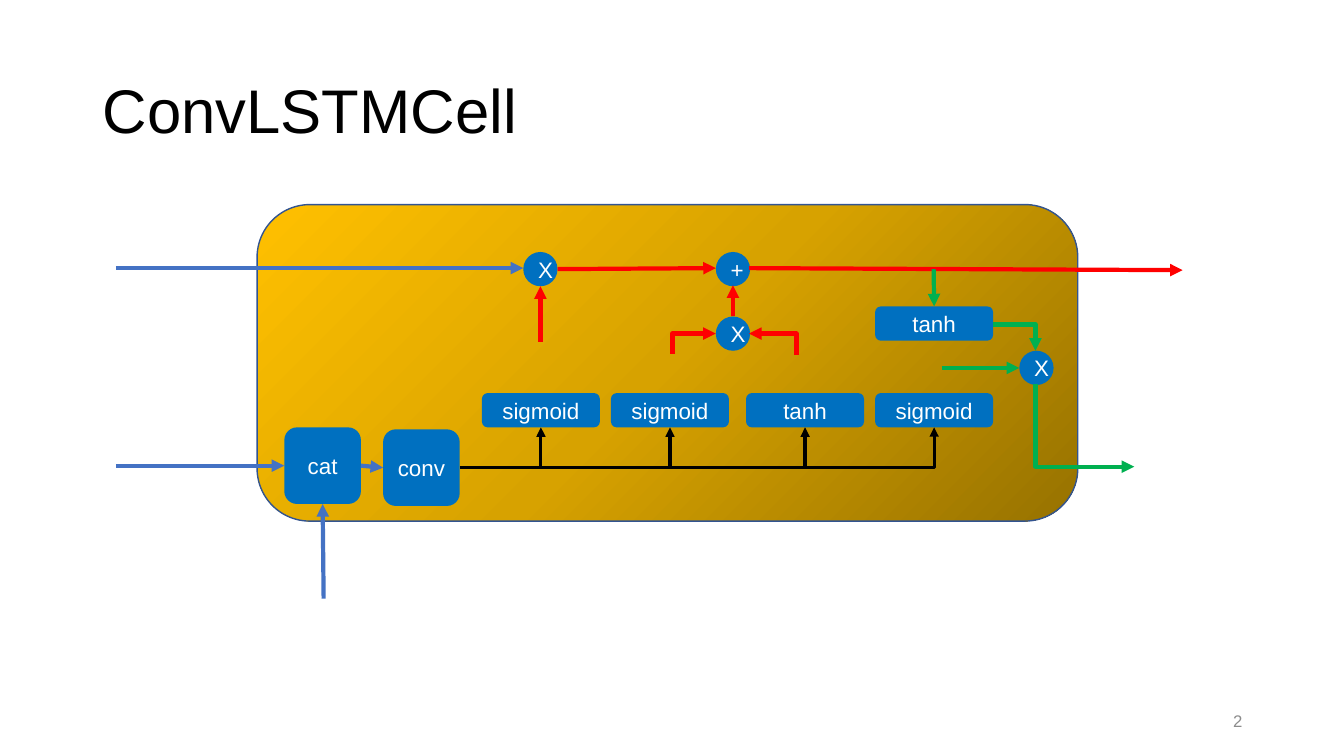
from lxml import etree
from pptx import Presentation
from pptx.dml.color import RGBColor
from pptx.enum.shapes import MSO_CONNECTOR, MSO_SHAPE
from pptx.enum.text import MSO_ANCHOR, PP_ALIGN
from pptx.oxml.ns import qn
from pptx.util import Inches, Pt

ROUND, OVAL = MSO_SHAPE.ROUNDED_RECTANGLE, MSO_SHAPE.OVAL
STRAIGHT, ELBOW = MSO_CONNECTOR.STRAIGHT, MSO_CONNECTOR.ELBOW
MIDDLE = MSO_ANCHOR.MIDDLE
LEFT, CENTER, RIGHT = PP_ALIGN.LEFT, PP_ALIGN.CENTER, PP_ALIGN.RIGHT
TOP_SIDE, LEFT_SIDE, BOTTOM_SIDE, RIGHT_SIDE = range(4)

COLORS = {
    "node": "0070C0", "white": "FFFFFF", "black": "000000", "gray": "8C8C8C",
    "edge": "325491", "input": "4472C4", "state": "FF0000", "output": "00B050",
    "gold dark": "977200", "gold mid": "D7A200", "gold": "FFC000",
}


class Deck:
    font = "Arial"

    def __init__(self):
        self.prs = Presentation()
        self.prs.slide_width, self.prs.slide_height = Inches(13.33), Inches(7.5)
        self.slide = self.prs.slides.add_slide(self.prs.slide_layouts[5])

    def color(self, name):
        return RGBColor.from_string(COLORS[name])

    def set_text(self, s, text, size, color, align):
        tf = s.text_frame
        tf.text = text
        tf.word_wrap = True
        tf.vertical_anchor = MIDDLE
        p = tf.paragraphs[0]
        p.alignment = align
        font = p.runs[0].font
        font.name, font.size = self.font, Pt(size)
        font.color.rgb = self.color(color)
        return p

    def title(self, text, *box):
        s = self.slide.shapes.title
        s.left, s.top, s.width, s.height = map(Inches, box)
        self.set_text(s, text, 44, "black", LEFT).line_spacing = 0.9

    def label(self, text, *box):
        s = self.slide.shapes.add_textbox(*map(Inches, box))
        self.set_text(s, text, 12, "gray", RIGHT)

    def panel(self, *box):
        s = self.slide.shapes.add_shape(ROUND, *map(Inches, box))
        s.shadow.inherit = False
        s.line.color.rgb = self.color("edge")
        s.line.width = Pt(1)
        # Radial gradient centred on the bottom right corner
        grad = etree.Element(qn("a:gradFill"), rotWithShape="1")
        stops = etree.SubElement(grad, qn("a:gsLst"))
        for pos, name in ((0, "gold dark"), (50, "gold mid"), (100, "gold")):
            gs = etree.SubElement(stops, qn("a:gs"), pos=str(pos * 1000))
            etree.SubElement(gs, qn("a:srgbClr"), val=COLORS[name])
        circle = etree.SubElement(grad, qn("a:path"), path="circle")
        etree.SubElement(circle, qn("a:fillToRect"), l="100000", t="100000")
        s._element.spPr.find(qn("a:prstGeom")).addnext(grad)

    def node(self, kind, text, *box):
        s = self.slide.shapes.add_shape(kind, *map(Inches, box))
        s.shadow.inherit = False
        s.fill.solid()
        s.fill.fore_color.rgb = self.color("node")
        s.line.fill.background()
        self.set_text(s, text, 16, "white", CENTER)
        return s

    def arrow(self, color, start, end, begin=None, finish=None, width=3, kind=STRAIGHT):
        c = self.slide.shapes.add_connector(kind, *map(Inches, start + end))
        c.line.color.rgb = self.color(color)
        c.line.width = Pt(width)
        ln = c._element.spPr.find(qn("a:ln"))
        etree.SubElement(ln, qn("a:tailEnd"), type="triangle")
        etree.SubElement(c._element.spPr, qn("a:effectLst"))
        if begin:
            c.begin_connect(*begin)
        if finish:
            c.end_connect(*finish)
        return c

    def bent(self, color, start, end, across_first, width=3):
        c = self.arrow(color, start, end, width=width, kind=ELBOW)
        geom = c._element.spPr.find(qn("a:prstGeom"))
        if across_first:
            geom.set("prst", "bentConnector2")
        else:
            guides = geom.find(qn("a:avLst"))
            if guides is None:
                guides = etree.SubElement(geom, qn("a:avLst"))
            etree.SubElement(guides, qn("a:gd"), name="adj1", fmla="val 0")


def main():
    d = Deck()
    d.title("ConvLSTMCell", 0.92, 0.4, 11.5, 1.45)
    d.panel(2.55, 2.03, 8.14, 3.14)

    # Concatenation, convolution and gates
    cat = d.node(ROUND, "cat", 2.82, 4.24, 0.76, 0.76)
    conv = d.node(ROUND, "conv", 3.8, 4.26, 0.76, 0.76)
    gate_w, gate_h, gate_y, bus_y = 1.17, 0.34, 3.9, 4.64
    gates = [(4.78, "sigmoid"), (6.06, "sigmoid"), (7.4, "tanh"), (8.68, "sigmoid")]
    for x, text in gates:
        gate = d.node(ROUND, text, x, gate_y, gate_w, gate_h)
        mid = x + gate_w / 2
        if x < gates[-1][0]:
            d.arrow("black", (mid, bus_y), (mid, gate_y + gate_h),
                    finish=(gate, BOTTOM_SIDE), width=2.25)
        else:
            d.bent("black", (4.56, bus_y), (mid, gate_y + gate_h), True, 2.25)
    cell_tanh = d.node(ROUND, "tanh", 8.68, 3.04, gate_w, gate_h)

    # Pointwise operators
    for text, x, y in (("X", 5.19, 2.5), ("+", 7.1, 2.5), ("X", 7.1, 3.14), ("X", 10.11, 3.48)):
        d.node(OVAL, text, x, y, 0.34, 0.34)

    # Inputs
    d.arrow("input", (1.15, 4.62), (2.82, 4.62), finish=(cat, LEFT_SIDE))
    d.arrow("input", (3.21, 5.94), (3.21, 5), finish=(cat, BOTTOM_SIDE))
    d.arrow("input", (3.58, 4.62), (3.8, 4.64), (cat, RIGHT_SIDE), (conv, LEFT_SIDE))
    d.arrow("input", (1.15, 2.66), (5.19, 2.66))

    # Cell state
    for start, end in (((5.36, 3.39), (5.36, 2.84)), ((7.27, 3.14), (7.27, 2.83)),
                       ((5.53, 2.67), (7.1, 2.66)), ((7.43, 2.66), (11.73, 2.68))):
        d.arrow("state", start, end)
    d.bent("state", (6.67, 3.51), (7.1, 3.31), False)
    d.bent("state", (7.9, 3.52), (7.43, 3.31), False)

    # Hidden state output
    d.arrow("output", (9.26, 2.67), (9.26, 3.04), finish=(cell_tanh, TOP_SIDE))
    d.arrow("output", (9.34, 3.65), (10.11, 3.65))
    d.bent("output", (9.85, 3.22), (10.27, 3.48), True)
    d.bent("output", (10.27, 3.81), (11.25, 4.63), False)

    # Slide number
    d.label("2", 9.42, 6.95, 3, 0.4)
    d.prs.save("out.pptx")


if __name__ == "__main__":
    main()
